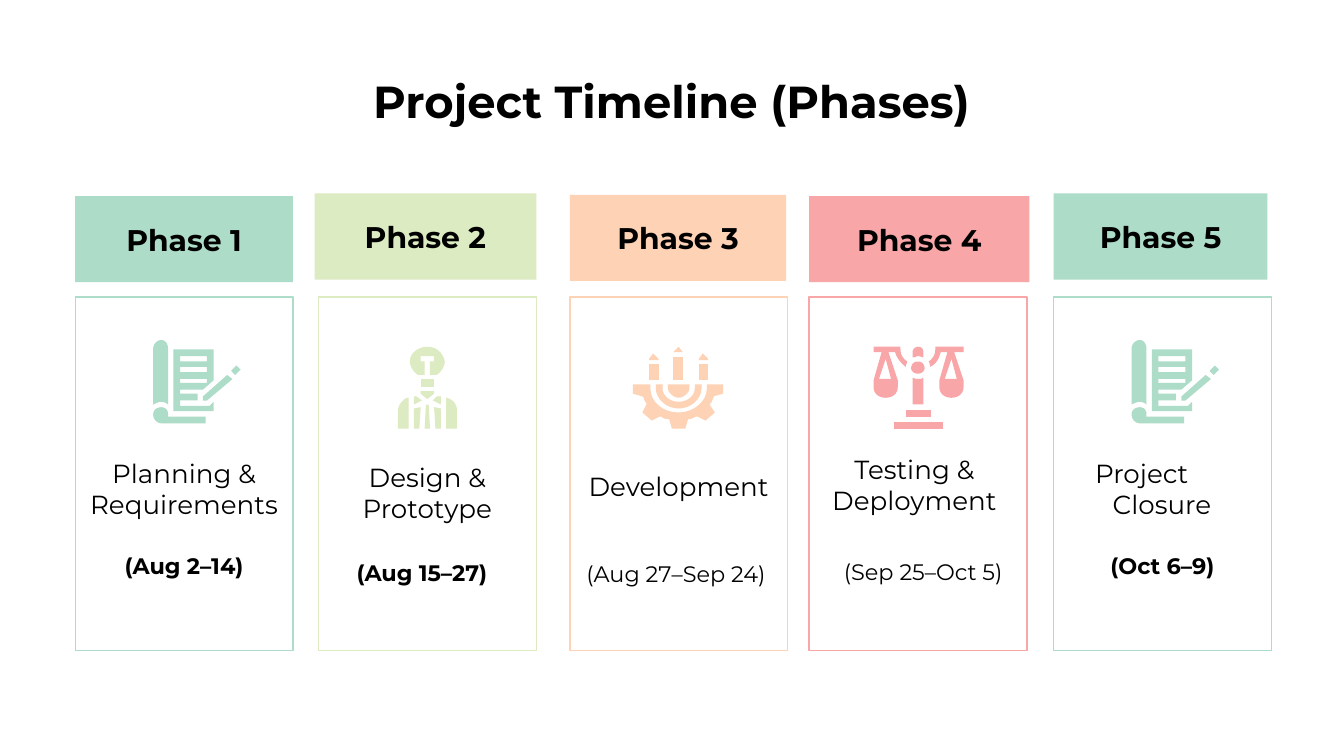
"""Build a project timeline slide with five phase cards."""
from collections import namedtuple

from pptx import Presentation
from pptx.dml.color import RGBColor
from pptx.enum.shapes import MSO_SHAPE
from pptx.enum.text import MSO_ANCHOR, MSO_AUTO_SIZE, PP_ALIGN
from pptx.util import Inches, Pt

FONT = "Montserrat"
BLACK = RGBColor(0x00, 0x00, 0x00)
MINT = RGBColor(0xAD, 0xDC, 0xC8)
LIME = RGBColor(0xDC, 0xEB, 0xC2)
PEACH = RGBColor(0xFE, 0xD2, 0xB5)
ROSE = RGBColor(0xF8, 0xA6, 0xA8)

SCROLL = [
    "6,0 3,0|0,3|0,6 0,48 2,47|4,46|6,46 8,46|10,47|11,48 11,6 11,3|9,0|6,0",
    "6,50 3,50|0,52|0,55 0,56 0,59|3,62|6,62 39,62 39,57 11,57 11,55 11,52|9,50|6,50",
    "62,19 58,23 61,26 65,22",
    "55,26 37,42 37,45 40,45 59,29",
    "40,12 40,16 20,16 20,12 / 40,20 40,24 20,24 20,20 / 40,29 40,32 20,32 20,29 / "
    "15,7 15,53 45,53 45,46 42,49 20,49 20,45 33,45 33,40 20,40 20,37 37,37 45,30 45,7",
]
DESIGNER = [
    "17,33 17,35 22,39 27,35 27,33",
    "17,24 17,30 27,30 27,24",
    "22,0 15,0|9,5|9,11 9,15|12,19|15,21 20,21 20,11 17,11 17,7 27,7 27,11 24,11 "
    "24,21 29,21 32,19|35,15|35,11 34,5|29,0|22,0",
    "22,43 21,43 20,61 24,61 23,43",
    "8,38 6,38|5,39|3,41 1,43|0,46|0,49 0,61 8,61",
    "29,37 26,40 32,43 32,37",
    "27,45 28,61 32,61 32,46",
    "12,37 12,43 18,40 14,37",
    "36,38 36,61 44,61 44,47 44,43|41,39|36,38",
    "17,45 12,46 12,61 16,61",
]
GEAR = [
    "0,28 0,35 7,37 8,38 8,39|9,41|10,42 10,43 7,49 14,55 20,52 21,52 22,53|24,54|26,54 "
    "27,54 29,61 39,61 41,54 42,54 43,54|45,53|47,52 48,52 54,55 61,49 57,43 58,42 "
    "59,41|59,39|60,38 60,37 67,35 67,28 55,28 55,31 55,41|45,49|34,49 22,49|13,41|13,31 13,28",
    "12,13 12,25 19,25 19,13",
    "34,0 30,4 37,4",
    "15,5 12,9 12,10 19,10 19,9",
    "49,13 49,25 56,25 56,13",
    "30,8 30,25 37,25 37,8",
    "17,28 17,31 17,39|25,46|34,46 43,46|51,39|51,31 51,28 46,28 46,31 "
    "46,37|40,41|34,41 27,41|22,36|22,31 22,28",
    "26,28 26,31 26,34|30,38|34,38 38,38|42,34|42,31 42,28",
    "52,5 49,9 49,10 56,10 56,9",
]
SCALES = [
    "9,9 13,24 4,24 / 0,0 0,4 6,4 0,25 0,30 0,35|4,38|9,38 14,38|18,35|18,30 18,25 "
    "11,4 16,4 17,8|20,12|24,15 24,13|25,12|25,11 22,9|20,6|20,2 20,0",
    "15,56 15,61 52,61 52,56",
    "24,47 24,52 43,52 43,47",
    "33,11 30,11|28,13|28,16 28,18|30,20|33,20 36,20|38,18|38,16 38,13|36,11|33,11",
    "58,9 62,24 53,24 / 46,0 46,2 46,6|44,9|41,11 42,12|42,14|42,15 47,13|49,8|50,4 55,4 "
    "49,25 49,30 49,35|53,38|58,38 63,38|67,35|67,30 67,25 60,4 67,4 67,0",
    "29,23 29,43 37,43 37,23 36,24|35,24|33,24 32,24|31,24|29,23",
    "33,0 31,0|29,2|29,4 29,8 31,8|32,7|33,7 35,7|36,8|37,8 37,4 37,2|36,0|33,0",
]

Phase = namedtuple("Phase", "colour header card caption caption_at date date_at bold icon icon_at")
PHASES = [
    Phase(MINT, (0.56, 1.46, 1.62), 0.56, ["Planning & Requirements"], (0.39, 3.4),
          "(Aug 2–14)", (0.39, 4.01, 1.96), True, SCROLL, (1.14, 2.53)),
    Phase(LIME, (2.34, 1.44, 1.65), 2.37, ["Design & Prototype"], (2.2, 3.43),
          "(Aug 15–27)", (2.16, 4.06, 1.96), True, DESIGNER, (2.96, 2.58)),
    Phase(PEACH, (4.24, 1.45, 1.61), 4.24, ["Development"], (4.07, 3.38),
          "(Aug 27–Sep 24)", (4.05, 4.07, 1.96), False, GEAR, (4.71, 2.58)),
    Phase(ROSE, (6.02, 1.46, 1.64), 6.02, ["Testing & ", "Deployment "], (5.85, 3.37),
          "(Sep 25–Oct 5)", (6.06, 4.05, 1.62), False, SCALES, (6.5, 2.58)),
    Phase(MINT, (7.84, 1.44, 1.59), 7.84, ["Project Closure"], (7.67, 3.4),
          "(Oct 6–9)", (7.67, 4.01, 1.96), True, SCROLL, (8.42, 2.53)),
]


def write(box, lines, size, bold=False, anchor=MSO_ANCHOR.MIDDLE):
    """Fill a shape with centred lines of black text."""
    frame = box.text_frame
    frame.word_wrap = True
    frame.auto_size = MSO_AUTO_SIZE.NONE
    frame.vertical_anchor = anchor
    frame.margin_left = frame.margin_right = Inches(0.1)
    frame.margin_top = frame.margin_bottom = Inches(0.1)
    frame.text = "\n".join(lines)
    for paragraph in frame.paragraphs:
        paragraph.alignment = PP_ALIGN.CENTER
        paragraph.font.name = FONT
        paragraph.font.size = Pt(size)
        paragraph.font.bold = bold
        paragraph.font.color.rgb = BLACK


def trace(outline):
    """Turn 'x,y' points and 'a|b|c' curves, in 1/100 inch, into a list of points."""
    points = []
    for token in outline.split():
        knots = [tuple(float(n) for n in pair.split(",")) for pair in token.split("|")]
        if len(knots) == 1:
            points.append(knots[0])
            continue
        corners = [points[-1], *knots]
        for step in range(1, 9):
            t = step / 8
            weights = [(1 - t) ** 3, 3 * t * (1 - t) ** 2, 3 * t * t * (1 - t), t ** 3]
            points.append(tuple(sum(w * c[axis] for w, c in zip(weights, corners)) for axis in (0, 1)))
    return [(Inches(x / 100), Inches(y / 100)) for x, y in points]


deck = Presentation()
deck.slide_width = Inches(10)
deck.slide_height = Inches(10) * 9 // 16
page = deck.slides.add_slide(deck.slide_layouts[5])

title = page.shapes.title
title.left, title.top, title.width, title.height = [Inches(n) for n in (0.49, 0.45, 9.01, 0.61)]
write(title, ["Project Timeline (Phases)"], 24, True, MSO_ANCHOR.TOP)

for number, phase in enumerate(PHASES, 1):
    card = page.shapes.add_shape(MSO_SHAPE.ROUND_2_SAME_RECTANGLE, Inches(phase.card),
                                 Inches(2.21), Inches(1.62), Inches(2.63))
    card.fill.background()
    card.line.color.rgb = phase.colour
    card.line.width = Pt(0.75)

    left, top, width = [Inches(n) for n in phase.header]
    header = page.shapes.add_shape(MSO_SHAPE.ROUND_2_SAME_RECTANGLE, left, top, width, Inches(0.64))
    header.fill.solid()
    header.fill.fore_color.rgb = phase.colour
    header.line.fill.background()
    write(header, [f"Phase {number}"], 16, True)

    for panel in (card, header):
        panel.shadow.inherit = False
        panel.adjustments[0] = panel.adjustments[1] = 0

    left, top = [Inches(n) for n in phase.caption_at]
    caption = page.shapes.add_textbox(left, top, Inches(1.96), Inches(0.47))
    write(caption, phase.caption, 14)

    left, top, width = [Inches(n) for n in phase.date_at]
    date = page.shapes.add_textbox(left, top, width, Inches(0.43))
    write(date, [phase.date], 12, phase.bold, MSO_ANCHOR.TOP)

    icon = page.shapes.add_group_shape()
    left, top = [Inches(n) for n in phase.icon_at]
    for outline in phase.icon:
        first, *others = [trace(contour) for contour in outline.split("/")]
        builder = icon.shapes.build_freeform(*first[0], scale=1.0)
        builder.add_line_segments(first[1:], close=True)
        for contour in others:
            builder.move_to(*contour[0])
            builder.add_line_segments(contour[1:], close=True)
        part = builder.convert_to_shape(left, top)
        part.shadow.inherit = False
        part.fill.solid()
        part.fill.fore_color.rgb = phase.colour
        part.line.fill.background()

closure = caption.text_frame.paragraphs[0]
closure.alignment = PP_ALIGN.LEFT
hanging = closure._p.get_or_add_pPr()
hanging.set("marL", str(Inches(0.51)))
hanging.set("indent", str(Inches(-0.13)))

deck.save("out.pptx")
